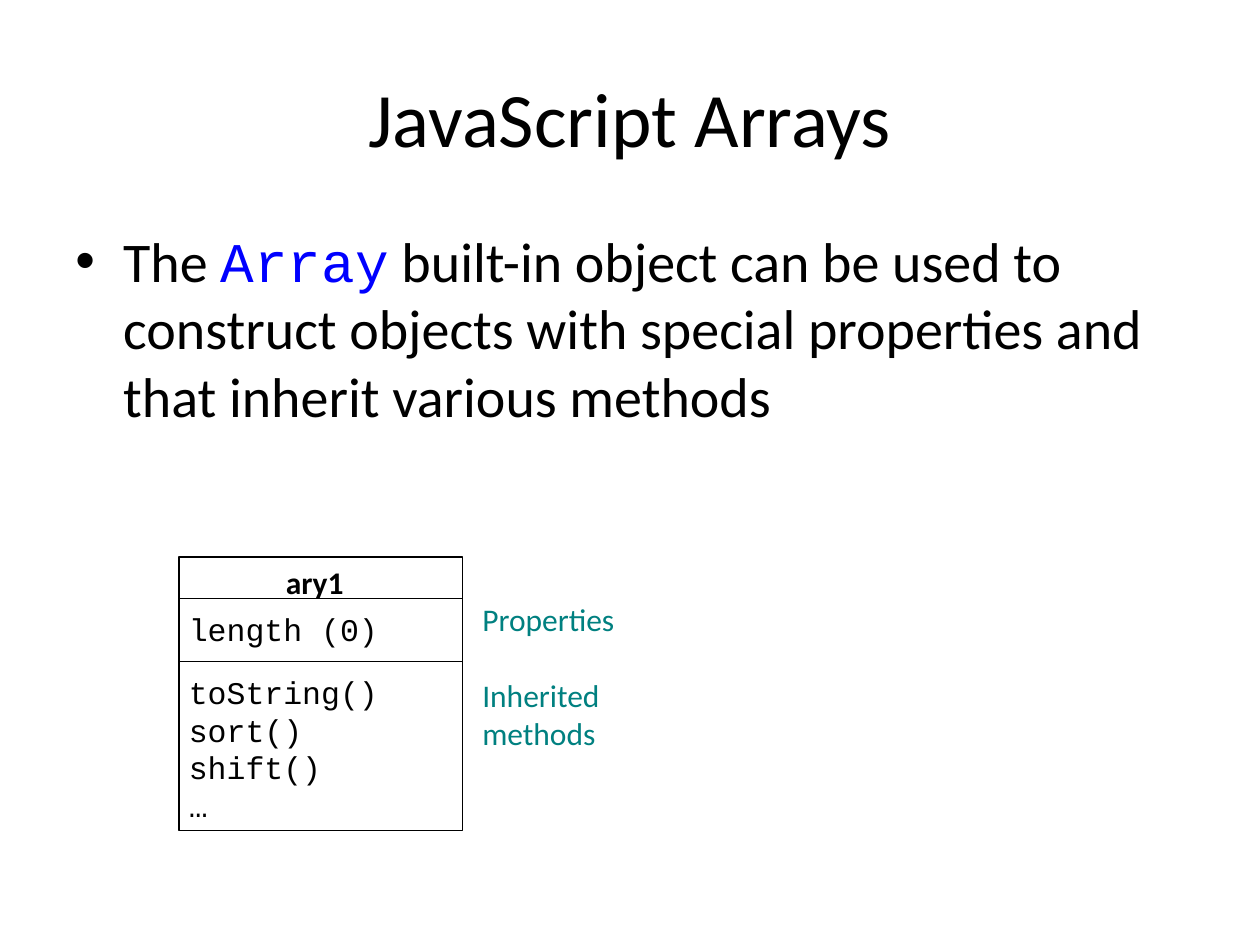
from dataclasses import dataclass

from lxml import etree
from pptx import Presentation
from pptx.dml.color import RGBColor
from pptx.enum.shapes import MSO_CONNECTOR, MSO_SHAPE
from pptx.enum.text import MSO_ANCHOR, MSO_AUTO_SIZE, PP_ALIGN
from pptx.oxml.ns import qn
from pptx.slide import Slide
from pptx.text.text import _Paragraph
from pptx.util import Inches, Pt

RECTANGLE = MSO_SHAPE.RECTANGLE
STRAIGHT = MSO_CONNECTOR.STRAIGHT
MIDDLE = MSO_ANCHOR.MIDDLE
CENTER = PP_ALIGN.CENTER
FIT_SHAPE = MSO_AUTO_SIZE.SHAPE_TO_FIT_TEXT

BLACK = RGBColor(0x00, 0x00, 0x00)
BLUE = RGBColor(0x00, 0x00, 0xFF)
TEAL = RGBColor(0x00, 0x80, 0x80)
SANS = "Calibri"
MONO = "Courier New"

BOX_LEFT, BOX_TOP, BOX_WIDTH, BOX_HEIGHT = 1.42, 4.42, 2.25, 2.17
DIVIDER_TOPS = (4.75, 5.25)
LINE_WIDTH = Pt(0.75)


@dataclass(frozen=True)
class Label:
    left: float
    top: float
    width: float
    height: float
    lines: tuple[str, ...]
    font: str = SANS
    color: RGBColor = BLACK
    bold: bool = False
    gap_before_second: float = 0


LABELS = (
    Label(2.17, 4.42, 0.72, 0.4, ("ary1",), bold=True),
    Label(1.4, 4.79, 1.71, 0.4, ("length (0)",), MONO),
    Label(1.4, 5.29, 1.71, 1.3, ("toString()", "sort()", "shift()", "…"), MONO),
    Label(3.73, 4.71, 1.34, 1.3, ("Properties", "Inherited", "methods"),
          color=TEAL, gap_before_second=22),
)


def add_run(paragraph: _Paragraph, text: str, size: float, font: str = SANS,
            color: RGBColor = BLACK, bold: bool = False) -> None:
    run = paragraph.add_run()
    run.text = text
    run.font.size = Pt(size)
    run.font.name = font
    run.font.color.rgb = color
    run.font.bold = bold


def add_title(slide: Slide) -> None:
    title = slide.shapes.title
    title.left, title.top = Inches(0.5), Inches(0.3)
    title.width, title.height = Inches(9), Inches(1.25)
    title.text_frame.vertical_anchor = MIDDLE
    paragraph = title.text_frame.paragraphs[0]
    paragraph.alignment = CENTER
    add_run(paragraph, "JavaScript Arrays", 44)


def set_bullet(paragraph: _Paragraph, indent: float) -> None:
    properties = paragraph._p.get_or_add_pPr()
    properties.set("marL", str(Inches(indent)))
    properties.set("indent", str(-Inches(indent)))
    etree.SubElement(properties, qn("a:buFont")).set("typeface", "Arial")
    etree.SubElement(properties, qn("a:buChar")).set("char", "•")


def add_description(slide: Slide) -> None:
    description = slide.shapes.add_textbox(
        Inches(0.5), Inches(1.75), Inches(9), Inches(4.95))
    description.text_frame.word_wrap = True
    paragraph = description.text_frame.paragraphs[0]
    set_bullet(paragraph, 0.38)
    add_run(paragraph, "The ", 32)
    add_run(paragraph, "Array", 32, MONO, BLUE)
    add_run(paragraph, " built-in object can be used to construct objects with "
            "special properties and that inherit various methods", 32)


def add_object_box(slide: Slide) -> None:
    """Draw the object's outline and the lines between its compartments."""
    outline = slide.shapes.add_shape(
        RECTANGLE, Inches(BOX_LEFT), Inches(BOX_TOP),
        Inches(BOX_WIDTH), Inches(BOX_HEIGHT))
    outline.shadow.inherit = False
    outline.fill.background()
    outline.line.color.rgb = BLACK
    outline.line.width = LINE_WIDTH
    for top in DIVIDER_TOPS:
        divider = slide.shapes.add_connector(
            STRAIGHT, Inches(BOX_LEFT), Inches(top),
            Inches(BOX_LEFT + BOX_WIDTH), Inches(top))
        divider.line.color.rgb = BLACK
        divider.line.width = LINE_WIDTH
        etree.SubElement(divider._element.spPr, qn("a:effectLst"))


def add_label(slide: Slide, label: Label) -> None:
    frame = slide.shapes.add_textbox(
        Inches(label.left), Inches(label.top),
        Inches(label.width), Inches(label.height)).text_frame
    frame.word_wrap = False
    frame.auto_size = FIT_SHAPE
    for index, line in enumerate(label.lines):
        paragraph = frame.add_paragraph() if index else frame.paragraphs[0]
        if index == 1 and label.gap_before_second:
            paragraph.space_before = Pt(label.gap_before_second)
        add_run(paragraph, line, 18, label.font, label.color, label.bold)


def main() -> None:
    presentation = Presentation()
    presentation.slide_width = Inches(10)
    presentation.slide_height = Inches(7.5)
    title_only = presentation.slide_layouts[5]
    slide = presentation.slides.add_slide(title_only)
    add_title(slide)
    add_description(slide)
    add_object_box(slide)
    for label in LABELS:
        add_label(slide, label)
    presentation.save("out.pptx")


if __name__ == "__main__":
    main()
